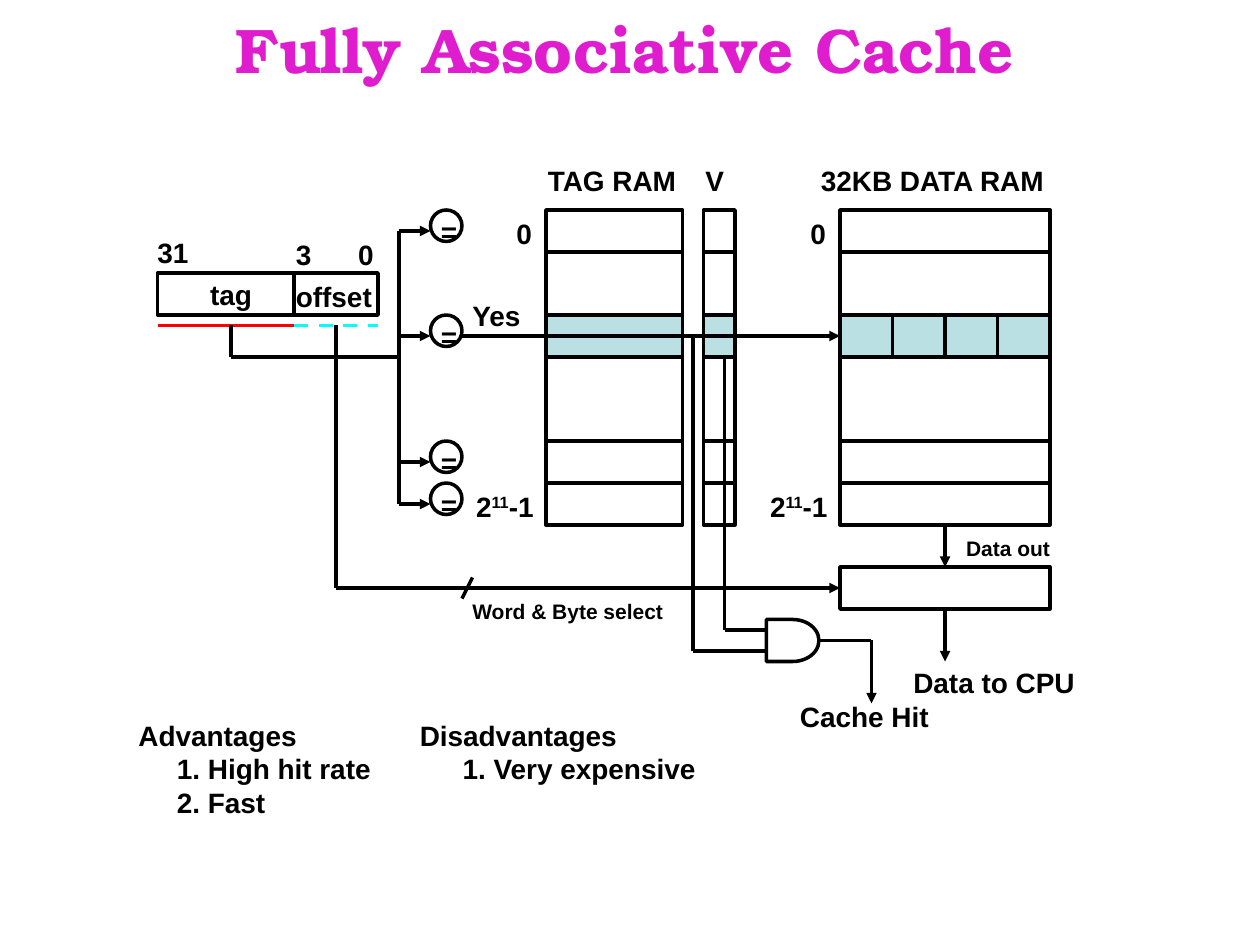
from pptx import Presentation
from pptx.dml.color import RGBColor
from pptx.enum.dml import MSO_LINE
from pptx.enum.shapes import MSO_CONNECTOR, MSO_SHAPE
from pptx.enum.text import MSO_ANCHOR, MSO_AUTO_SIZE, PP_ALIGN
from pptx.oxml.ns import qn
from pptx.util import Pt
from lxml import etree

RECTANGLE, ELLIPSE, AND_GATE = MSO_SHAPE.RECTANGLE, MSO_SHAPE.OVAL, MSO_SHAPE.FLOWCHART_DELAY
STRAIGHT, DASH = MSO_CONNECTOR.STRAIGHT, MSO_LINE.DASH
FIT_SHAPE, NO_FIT = MSO_AUTO_SIZE.SHAPE_TO_FIT_TEXT, MSO_AUTO_SIZE.NONE
TOP, LEFT, BOTTOM, RIGHT = range(4)
BLACK, HIT, RED, CYAN, MAGENTA = "000000", "BBE0E3", "FF0000", "00FFFF", "E01DCE"

# Content: all lengths in points
TITLE = "Fully Associative Cache"
MEMORIES = {"tag": (312, 78), "valid": (402, 18), "data": (480, 120)}  # left, width
MEMORY_TOP, MEMORY_HEIGHT, ROW = 120, 180, 24
HIT_TOP, LATE_ROW_TOP = 180, 252
COMPARATOR_TOPS = [120, 180, 252, 276]
BUS_X, COMPARATOR_X, COMPARATOR_SIZE = 228, 246, 18
LABELS = [  # text, left, top, width, size
    ("TAG RAM", 306, 90, 88.56, 16),
    ("V", 396, 90, 25.2, 16),
    ("32KB DATA RAM", 462, 90, 144.72, 16),
    ("0", 288, 120, 23.04, 16),
    ("0", 456, 120, 23.04, 16),
    ("31", 82.8, 131, 32.2, 16),
    ("3", 162, 132, 23.04, 16),
    ("0", 197.5, 132, 23.04, 16),
    ("tag", 113, 155, 38.16, 16),
    ("offset", 162, 156, 57.6, 16),
    ("Yes", 262.8, 167, 42.48, 16),
    ("Word & Byte select", 262.8, 338.4, 123.84, 12),
    ("Data out", 545, 302.4, 62.5, 12),
    ("Data to CPU", 514.8, 376.6, 106.56, 16),
    ("Cache Hit", 450, 396, 87.84, 16),
]
LAST_ROW_LABELS = [(265, 276), (433, 276)]
REMARKS = [  # left, width, item indent, heading and items
    (72, 154, 22, ["Advantages", "1. High hit rate", "2. Fast"]),
    (232.8, 180, 24.5, ["Disadvantages", "1. Very expensive"]),
]

presentation = Presentation()
presentation.slide_width, presentation.slide_height = Pt(720), Pt(540)
slide = presentation.slides.add_slide(presentation.slide_layouts[5])
shapes = slide.shapes


def color(value):
    return RGBColor.from_string(value)


def set_font(font, size, name="Arial", value=BLACK):
    font.size, font.name, font.bold = Pt(size), name, True
    font.color.rgb = color(value)


def add_outline(left, top, width, height, fill=None, kind=RECTANGLE):
    shape = shapes.add_shape(kind, Pt(left), Pt(top), Pt(width), Pt(height))
    shape.shadow.inherit = False
    if fill:
        shape.fill.solid()
        shape.fill.fore_color.rgb = color(fill)
    else:
        shape.fill.background()
    shape.line.color.rgb = color(BLACK)
    shape.line.width = Pt(2)
    return shape


def add_wire(points, arrow=False, value=BLACK, dash=None, begin=None, end=None):
    """Join successive points; begin and end are (shape, connection site)."""
    for start, stop in zip(points, points[1:]):
        wire = shapes.add_connector(STRAIGHT, *(Pt(v) for v in start + stop))
        wire.line.color.rgb = color(value)
        wire.line.width = Pt(2)
        if dash:
            wire.line.dash_style = dash
        properties = wire._element.spPr
        if arrow and stop == points[-1]:
            etree.SubElement(properties.find(qn("a:ln")), qn("a:tailEnd"), type="triangle")
        etree.SubElement(properties, qn("a:effectLst"))
        if begin and start == points[0]:
            wire.begin_connect(*begin)
        if end and stop == points[-1]:
            wire.end_connect(*end)


def add_text_frame(left, top, width, height=26.64, wrap=False):
    text_frame = shapes.add_textbox(Pt(left), Pt(top), Pt(width), Pt(height)).text_frame
    text_frame.word_wrap = wrap
    text_frame.auto_size = FIT_SHAPE
    return text_frame


def add_label(text, left, top, width, size=16):
    text_frame = add_text_frame(left, top, width, 26.64 if size == 16 else 21.6)
    text_frame.text = text
    set_font(text_frame.paragraphs[0].runs[0].font, size)


# Title
title = shapes.title
title.left, title.top, title.width, title.height = Pt(36.5), Pt(0), Pt(641), Pt(54.7)
title.text_frame.text = TITLE
title.text_frame.auto_size = NO_FIT
title.text_frame.vertical_anchor = MSO_ANCHOR.MIDDLE
title_paragraph = title.text_frame.paragraphs[0]
title_paragraph.alignment = PP_ALIGN.CENTER
set_font(title_paragraph.runs[0].font, 36, "TeX Gyre Bonum", MAGENTA)

# Memories with the matching row filled
hit_rows = {}
for name, (left, width) in MEMORIES.items():
    add_outline(left, MEMORY_TOP, width, MEMORY_HEIGHT)
    first_row_bottom = MEMORY_TOP + ROW
    add_wire([(left, first_row_bottom), (left + width, first_row_bottom)])
    hit_rows[name] = add_outline(left, HIT_TOP, width, ROW, HIT)
    add_outline(left, LATE_ROW_TOP, width, ROW)
data_left, data_width = MEMORIES["data"]
for word in range(1, 4):
    x = data_left + word * data_width / 4
    add_wire([(x, HIT_TOP), (x, HIT_TOP + ROW)])

# Address register and its two fields
add_outline(90, 156, 126, ROW)
add_wire([(168, 156), (168, 180)])
add_wire([(90, 186), (168, 186)], value=RED)
add_wire([(168, 186), (216, 186)], value=CYAN, dash=DASH)

# Tag bus and comparators
add_wire([(132, 186), (132, 204), (BUS_X, 204)])
add_wire([(BUS_X, 132), (BUS_X, 288)])
for top in COMPARATOR_TOPS:
    add_wire([(BUS_X, top + 12), (COMPARATOR_X, top + 12)], arrow=True)
    add_label("=", COMPARATOR_X - 1.2, top - 1.2, 23.76)
    add_outline(COMPARATOR_X, top, COMPARATOR_SIZE, COMPARATOR_SIZE, kind=ELLIPSE)

# Word selector, AND gate and their wires
selector = add_outline(data_left, 324, data_width, ROW)
gate = add_outline(438, 354, 30, ROW, kind=AND_GATE)
data_ram_bottom = MEMORY_TOP + MEMORY_HEIGHT
add_wire([(264, 192), (480, 192)], arrow=True, end=(hit_rows["data"], LEFT))
add_wire([(192, 186), (192, 336), (480, 336)], arrow=True, end=(selector, LEFT))
add_wire([(270, 330), (264, 342)])
add_wire([(540, data_ram_bottom), (540, 324)], arrow=True, end=(selector, TOP))
add_wire([(540, 348), (540, 378)], arrow=True, begin=(selector, BOTTOM))
add_wire([(414, 204), (414, 360), (438, 360)])
add_wire([(396, 192), (396, 372), (438, 372)])
add_wire([(468, 366), (498, 366), (498, 402)], arrow=True, begin=(gate, RIGHT))

# Labels
for label in LABELS:
    add_label(*label)
for left, top in LAST_ROW_LABELS:
    paragraph = add_text_frame(left, top, 47.5).paragraphs[0]
    for text in ("2", "11", "-1"):
        run = paragraph.add_run()
        run.text = text
        set_font(run.font, 16)
        if text == "11":
            run.font._element.set("baseline", "30000")

# Advantages and disadvantages
for left, width, indent, lines in REMARKS:
    text_frame = add_text_frame(left, 406.8, width, 64.8, wrap=True)
    text_frame.text = "\n".join(lines)
    for number, paragraph in enumerate(text_frame.paragraphs):
        if number:
            properties = paragraph._p.get_or_add_pPr()
            properties.set("marL", str(Pt(indent)))
            properties.set("indent", "0")
        set_font(paragraph.runs[0].font, 16)

presentation.save("out.pptx")
